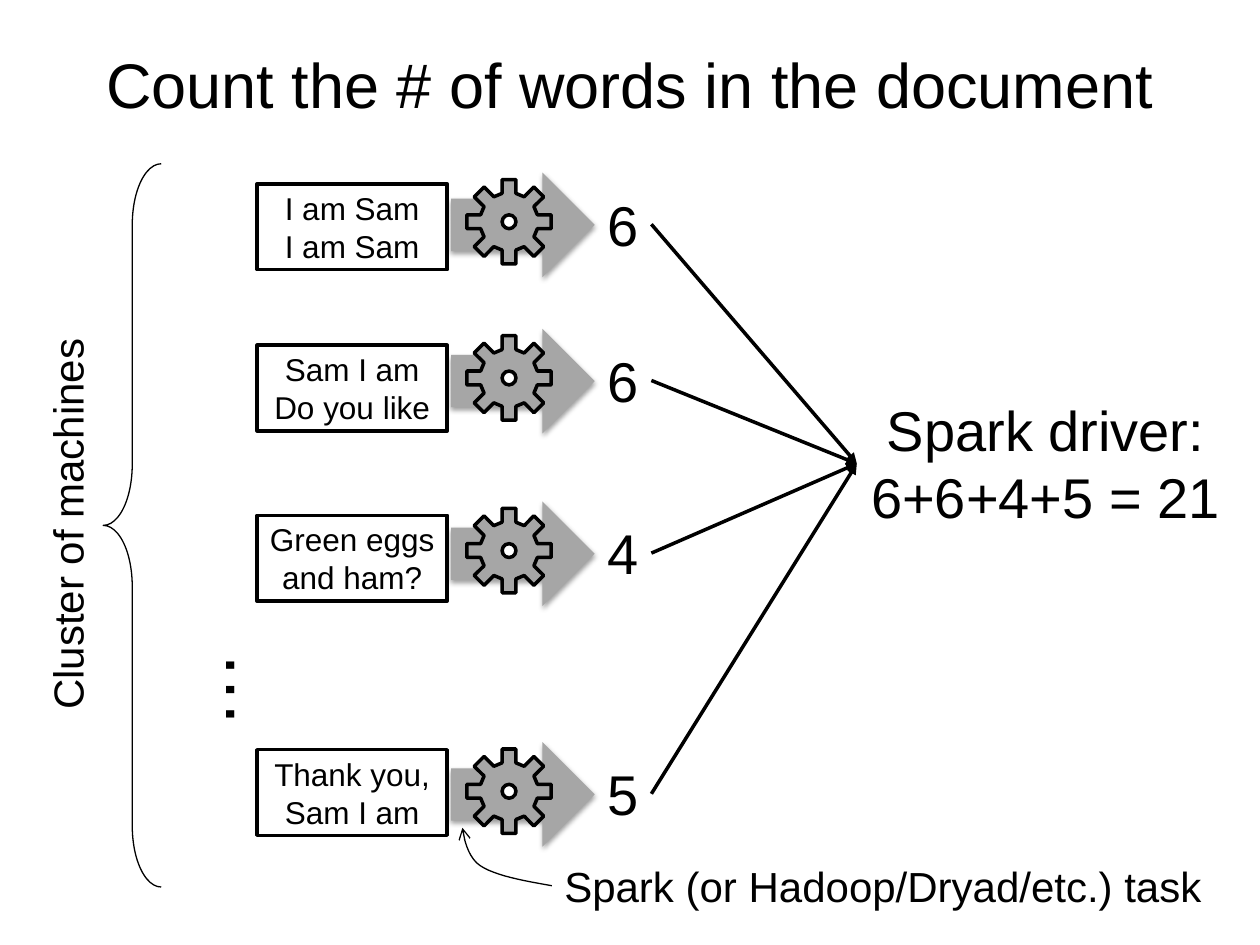
"""Build a slide that shows a distributed word count."""

import dataclasses
import math

import lxml.etree
import pptx
import pptx.dml.color
import pptx.enum.shapes
import pptx.enum.text
import pptx.oxml.ns
import pptx.util

Inches = pptx.util.Inches
Pt = pptx.util.Pt
RGBColor = pptx.dml.color.RGBColor
Shape = pptx.enum.shapes.MSO_SHAPE
Align = pptx.enum.text.PP_ALIGN
Anchor = pptx.enum.text.MSO_ANCHOR
AutoSize = pptx.enum.text.MSO_AUTO_SIZE
qn = pptx.oxml.ns.qn


@dataclasses.dataclass(frozen=True)
class Theme:
    font: str = "Arial"
    ink: RGBColor = RGBColor(0, 0, 0)
    paper: RGBColor = RGBColor(255, 255, 255)
    gray: RGBColor = RGBColor(0xA6, 0xA6, 0xA6)
    title: int = 36
    dots: int = 44
    result: int = 32
    label: int = 24
    card: int = 18
    bold_line: float = 2
    thin_line: float = 0.75


def write_text(frame, text, *, theme, size, align=Align.LEFT, anchor=Anchor.TOP, wrap=True):
    frame.word_wrap = wrap
    frame.vertical_anchor = anchor
    frame.auto_size = AutoSize.NONE if wrap else AutoSize.SHAPE_TO_FIT_TEXT
    for index, line in enumerate(text.split("\n")):
        para = frame.add_paragraph() if index else frame.paragraphs[0]
        para.alignment = align
        span = para.add_run()
        span.text = line
        span.font.name = theme.font
        span.font.size = Pt(size)
        span.font.color.rgb = theme.ink


def gear_outline(center_x, center_y):
    tooth = [(-0.055, -0.225), (-0.055, -0.335), (0.055, -0.335), (0.055, -0.225)]
    points = []
    for step in range(8):
        cosine, sine = math.cos(step * math.pi / 4), math.sin(step * math.pi / 4)
        points += [
            (center_x + x * cosine - y * sine, center_y + x * sine + y * cosine)
            for x, y in tooth
        ]
    return points


def bezier(start, first, second, end, steps=12):
    points = []
    for step in range(steps + 1):
        t = step / steps
        weights = ((1 - t) ** 3, 3 * t * (1 - t) ** 2, 3 * t * t * (1 - t), t ** 3)
        points.append(tuple(
            sum(weight * value for weight, value in zip(weights, values))
            for values in zip(start, first, second, end)
        ))
    return points


class SlideBuilder:
    def __init__(self, slide, theme):
        self.slide = slide
        self.theme = theme

    def style(self, shape, fill=None, line=None):
        shape.shadow.inherit = False
        if fill is None:
            shape.fill.background()
        else:
            shape.fill.solid()
            shape.fill.fore_color.rgb = fill
        if line is None:
            shape.line.fill.background()
        else:
            self.stroke(shape, line)
        return shape

    def stroke(self, shape, width, arrowhead=None):
        shape.line.color.rgb = self.theme.ink
        shape.line.width = Pt(width)
        if arrowhead:
            outline = shape.line._get_or_add_ln()
            lxml.etree.SubElement(outline, qn("a:tailEnd"), type=arrowhead)

    def text(self, text, left, top, width, height, rotation=0, **text_format):
        box = self.slide.shapes.add_textbox(
            Inches(left), Inches(top), Inches(width), Inches(height))
        box.rotation = rotation
        write_text(box.text_frame, text, theme=self.theme, **text_format)
        return box

    def shape(self, kind, left, top, width, height, fill=None, line=None, shapes=None):
        shapes = self.slide.shapes if shapes is None else shapes
        shape = shapes.add_shape(
            kind, Inches(left), Inches(top), Inches(width), Inches(height))
        return self.style(shape, fill, line)

    def panel(self, text, left, top, width, height, size, line=None, rotation=0):
        panel = self.shape(Shape.RECTANGLE, left, top, width, height, self.theme.paper, line)
        panel.rotation = rotation
        write_text(panel.text_frame, text, theme=self.theme, size=size,
                   align=Align.CENTER, anchor=Anchor.MIDDLE)

    def outline(self, points, line, fill=None, close=True, shapes=None):
        shapes = self.slide.shapes if shapes is None else shapes
        corners = [(Inches(x), Inches(y)) for x, y in points]
        builder = shapes.build_freeform(*corners[0])
        builder.add_line_segments(corners[1:], close=close)
        return self.style(builder.convert_to_shape(), fill, line)

    def task(self, top):
        theme = self.theme
        shapes = self.slide.shapes.add_group_shape().shapes
        arrow = self.shape(Shape.RIGHT_ARROW, 3.58, top, 1.14, 0.83, theme.gray, shapes=shapes)
        effects = arrow._element.spPr.find(qn("a:effectLst"))
        shadow = lxml.etree.SubElement(
            effects, qn("a:outerShdw"), blurRad=str(Pt(3.1)), dist=str(Pt(1.6)),
            dir="5400000", rotWithShape="0")
        color = lxml.etree.SubElement(shadow, qn("a:srgbClr"), val=str(theme.ink))
        lxml.etree.SubElement(color, qn("a:alpha"), val="38000")
        center_x, center_y, hole = 4.04, top + 0.39, 0.11
        self.outline(gear_outline(center_x, center_y), theme.bold_line, theme.gray, shapes=shapes)
        self.shape(Shape.OVAL, center_x - hole / 2, center_y - hole / 2, hole, hole,
                   theme.paper, theme.bold_line, shapes)

    def connect(self, source, target):
        connector = self.slide.shapes.add_connector(
            pptx.enum.shapes.MSO_CONNECTOR.STRAIGHT, 0, 0, 0, 0)
        connector.begin_connect(source, 3)
        connector.end_connect(target, 1)
        self.stroke(connector, self.theme.bold_line, "triangle")
        lxml.etree.SubElement(connector._element.spPr, qn("a:effectLst"))


def main():
    deck = pptx.Presentation()
    deck.slide_width, deck.slide_height = Inches(10), Inches(7.5)
    theme = Theme()
    page = SlideBuilder(deck.slides.add_slide(deck.slide_layouts[6]), theme)

    page.text("…", 1.63, 5.06, 0.82, 0.84, rotation=90, size=theme.dots, wrap=False)
    page.panel("Cluster of machines", -1.45, 3.82, 3.96, 0.68, theme.label, rotation=270)
    brace = page.shape(Shape.LEFT_BRACE, 0.82, 1.3, 0.46, 5.74, line=theme.thin_line)
    brace.adjustments[0] = 1.055
    page.text("Count the # of words in the document", 0.5, 0.11, 9, 1.1,
              size=theme.title, align=Align.CENTER, anchor=Anchor.MIDDLE)
    driver = page.text("Spark driver:\n6+6+4+5 = 21", 6.8, 3.09, 3, 1.18,
                       size=theme.result, align=Align.CENTER, wrap=False)

    machines = [
        ("I am Sam\nI am Sam", 1.46, 1.37, "6"),
        ("Sam I am\nDo you like", 2.74, 2.61, "6"),
        ("Green eggs and ham?", 4.09, 3.98, "4"),
        ("Thank you, Sam I am", 5.95, 5.89, "5"),
    ]
    for words, card_top, task_top, count in machines:
        page.panel(words, 2.04, card_top, 1.51, 0.68, theme.card, theme.bold_line)
        page.task(task_top)
        total = page.text(count, 4.72, task_top + 0.09, 0.45, 0.64,
                          size=theme.result, wrap=False)
        page.connect(total, driver)

    page.text("Spark (or Hadoop/Dryad/etc.) task", 4.38, 6.78, 5.31, 0.5,
              size=theme.label, wrap=False)
    curve = bezier((4.38, 7.03), (4.15, 6.99), (3.93, 6.95), (3.81, 6.87))
    curve += bezier((3.81, 6.87), (3.69, 6.79), (3.67, 6.57), (3.67, 6.57))[1:]
    pointer = page.outline(curve, theme.thin_line, close=False)
    page.stroke(pointer, theme.thin_line, "arrow")

    deck.save("out.pptx")


if __name__ == "__main__":
    main()
